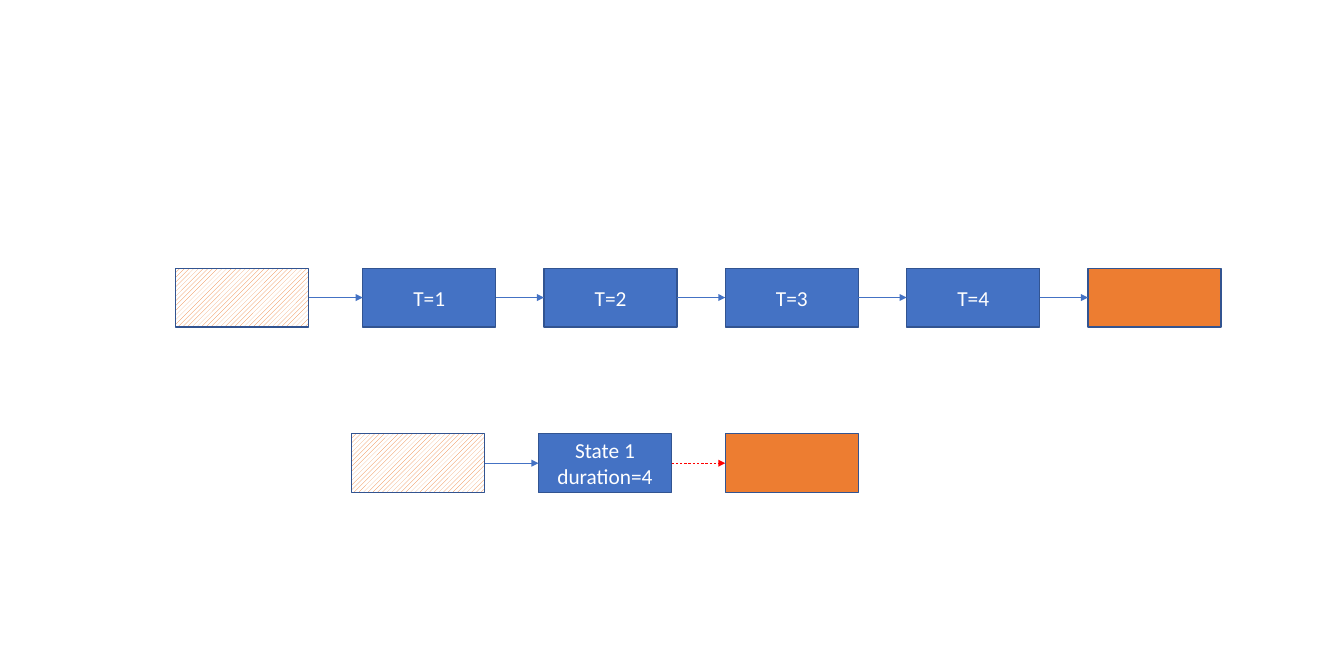
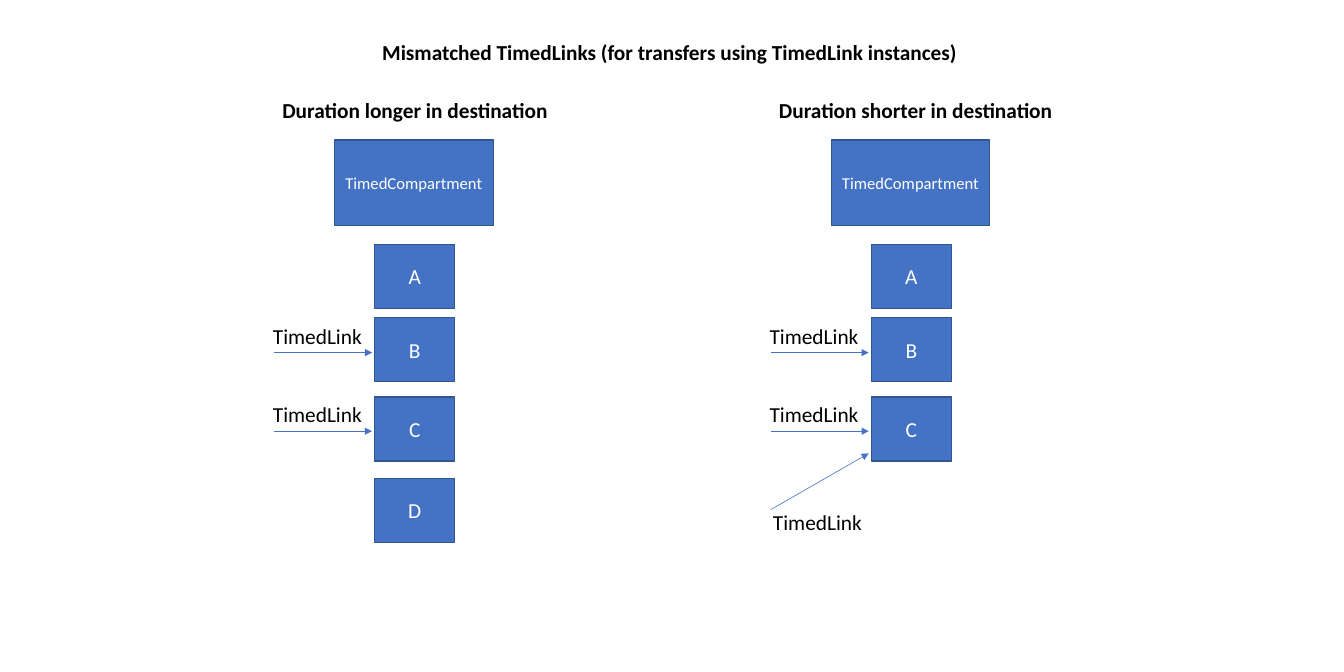
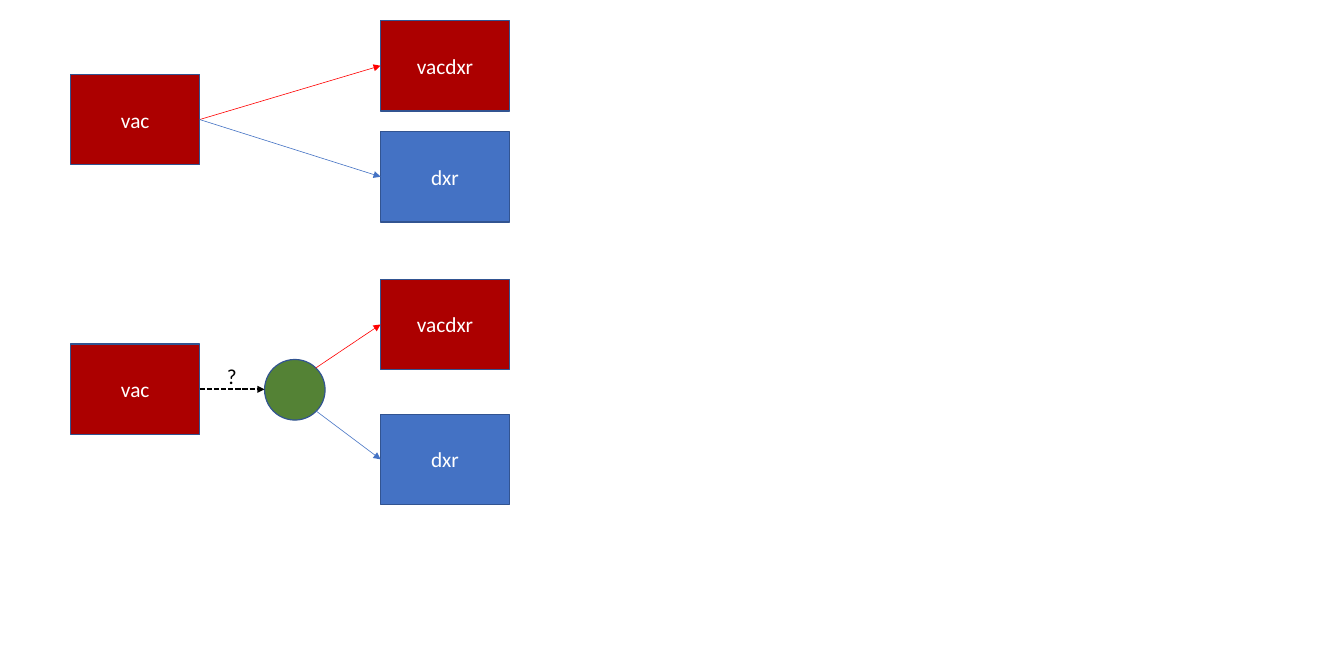
from dataclasses import dataclass

from lxml import etree
from pptx import Presentation
from pptx import util as u
from pptx.dml.color import RGBColor
from pptx.enum import dml, shapes, text
from pptx.oxml import ns

# Shared look
BLUE = RGBColor(0x44, 0x72, 0xC4)
NAVY = RGBColor(0x32, 0x54, 0x91)
ORANGE = RGBColor(0xED, 0x7D, 0x31)
CRIMSON = RGBColor(0xAC, 0x00, 0x00)
GREEN = RGBColor(0x54, 0x82, 0x35)
RED = RGBColor(0xFF, 0x00, 0x00)
BLACK = RGBColor(0x00, 0x00, 0x00)
WHITE = RGBColor(0xFF, 0xFF, 0xFF)
BODY = {"name": "Calibri", "size": u.Pt(18), "bold": False}
SMALL = BODY | {"size": u.Pt(14)}
HEADING = BODY | {"bold": True}
BOX_FRAME = {"word_wrap": True, "vertical_anchor": text.MSO_ANCHOR.MIDDLE}
LABEL_FRAME = {"word_wrap": False, "auto_size": text.MSO_AUTO_SIZE.SHAPE_TO_FIT_TEXT}
RECT = shapes.MSO_SHAPE.RECTANGLE
OVAL = shapes.MSO_SHAPE.OVAL
LEFT, RIGHT = 1, 3  # connection sites of a rectangle


@dataclass
class Box:
    left: float
    top: float
    width: float
    height: float
    words: str = ""
    fill: RGBColor = BLUE
    font: dict = None
    kind: int = RECT
    hatched: bool = False


@dataclass
class Label:
    left: float
    top: float
    width: float
    words: str
    font: dict = None
    height: float = 0.44


@dataclass
class Stroke:
    color: RGBColor = BLUE
    width: float = 0.5
    dash: int = None


@dataclass
class Panel:
    left: float
    heading: str
    heading_width: float
    states: str


def set_all(obj, values: dict) -> None:
    for name, value in values.items():
        setattr(obj, name, value)


def write(tf, words: str, font: dict, color: RGBColor, align) -> None:
    p = tf.paragraphs[0]
    p.text = words
    p.alignment = align
    for r in p.runs:
        set_all(r.font, font)
        r.font.color.rgb = color


def draw_box(s, box: Box):
    sp = s.shapes.add_shape(box.kind, *map(u.Inches, (box.left, box.top, box.width, box.height)))
    sp.shadow.inherit = False
    if box.hatched:
        sp.fill.patterned()
        sp.fill.pattern = dml.MSO_PATTERN.WIDE_UPWARD_DIAGONAL
        sp.fill.fore_color.rgb = box.fill
        sp.fill.back_color.rgb = WHITE
    else:
        sp.fill.solid()
        sp.fill.fore_color.rgb = box.fill
    sp.line.color.rgb = NAVY
    sp.line.width = u.Pt(1)
    if box.words:
        set_all(sp.text_frame, BOX_FRAME)
        write(sp.text_frame, box.words, box.font or BODY, WHITE, text.PP_ALIGN.CENTER)
    return sp


def draw_label(s, label: Label) -> None:
    sp = s.shapes.add_textbox(*map(u.Inches, (label.left, label.top, label.width, label.height)))
    set_all(sp.text_frame, LABEL_FRAME)
    write(sp.text_frame, label.words, label.font or BODY, BLACK, text.PP_ALIGN.LEFT)


def arrow(s, x1: float, y1: float, x2: float, y2: float, stroke: Stroke = Stroke()):
    line = s.shapes.add_connector(
        shapes.MSO_CONNECTOR.STRAIGHT, *map(u.Inches, (x1, y1, x2, y2)))
    line.line.color.rgb = stroke.color
    line.line.width = u.Pt(stroke.width)
    if stroke.dash:
        line.line.dash_style = stroke.dash
    ln = line.line._get_or_add_ln()
    etree.SubElement(ln, ns.qn("a:tailEnd"), type="triangle")
    etree.SubElement(line._element.spPr, ns.qn("a:effectLst"))
    return line


def link(s, start, end, stroke: Stroke = Stroke()) -> None:
    line = arrow(s, 0, 0, 1, 1, stroke)
    line.begin_connect(start, RIGHT)
    line.end_connect(end, LEFT)


def draw_chain(s, boxes: list, last: Stroke = Stroke()) -> None:
    sps = [draw_box(s, box) for box in boxes]
    for i, (start, end) in enumerate(zip(sps, sps[1:]), 2):
        link(s, start, end, last if i == len(sps) else Stroke())


prs = Presentation()
prs.slide_width, prs.slide_height = u.Inches(15.75), u.Inches(7.87)
blank = prs.slide_layouts[6]

# Slide 1: four time steps, then one state with a duration
s = prs.slides.add_slide(blank)
STEP_SIZE = (1.56, 0.69)
STEP_LEFT, EXIT_LEFT, STEPS = 4.25, 12.75, 4
pitch = (EXIT_LEFT - STEP_LEFT) / STEPS
draw_chain(s, [
    Box(2.06, 3.14, *STEP_SIZE, fill=ORANGE, hatched=True),
    *(Box(STEP_LEFT + i * pitch, 3.14, *STEP_SIZE, f"T={i + 1}") for i in range(STEPS)),
    Box(EXIT_LEFT, 3.14, *STEP_SIZE, fill=ORANGE),
])
draw_chain(s, [
    Box(4.12, 5.08, *STEP_SIZE, fill=ORANGE, hatched=True),
    Box(6.31, 5.08, *STEP_SIZE, "State 1\vduration=4"),
    Box(8.5, 5.08, *STEP_SIZE, fill=ORANGE),
], last=Stroke(RED, dash=dml.MSO_LINE.DASH))

# Slide 2: two compartments with mismatched links
s = prs.slides.add_slide(blank)
STATE_TOPS = (2.86, 3.72, 4.65, 5.6)
LINKS = ((3.74, 4.13), (4.65, 5.05))  # label top, arrow height
ARROW_LENGTH = 1.15
draw_label(s, Label(
    4.38, 0.41, 7.93, "Mismatched TimedLinks (for transfers using TimedLink instances)", HEADING))
panels = (
    Panel(3.21, "Duration longer in destination", 3.78, "ABCD"),
    Panel(9.03, "Duration shorter in destination", 3.89, "ABC"),
)
for panel in panels:
    x = panel.left
    draw_label(s, Label(x, 1.09, panel.heading_width, panel.heading, HEADING))
    draw_box(s, Box(x + 0.71, 1.64, 1.86, 1, "TimedCompartment", font=SMALL))
    for state, top in zip(panel.states, STATE_TOPS):
        draw_box(s, Box(x + 1.18, top, 0.94, 0.75, state))
    for label_top, y in LINKS:
        draw_label(s, Label(x - 0.11, label_top, 1.39, "TimedLink"))
        arrow(s, x, y, x + ARROW_LENGTH, y)

# Extra link into the last state of the shorter compartment
x = panels[1].left
arrow(s, x, 5.97, x + ARROW_LENGTH, 5.31)
draw_label(s, Label(8.96, 5.91, 1.39, "TimedLink"))

# Slide 3: direct split, then split through a junction
s = prs.slides.add_slide(blank)
NODE_SIZE = (1.51, 1.06)
SOURCE_LEFT, TARGET_LEFT = 0.83, 4.46


def draw_nodes(s, vac_top: float, vacdxr_top: float, dxr_top: float) -> list:
    return [draw_box(s, box) for box in (
        Box(SOURCE_LEFT, vac_top, *NODE_SIZE, "vac", CRIMSON),
        Box(TARGET_LEFT, vacdxr_top, *NODE_SIZE, "vacdxr", CRIMSON),
        Box(TARGET_LEFT, dxr_top, *NODE_SIZE, "dxr"),
    )]


vac, vacdxr, dxr = draw_nodes(s, 0.87, 0.24, 1.54)
link(s, vac, vacdxr, Stroke(RED))
link(s, vac, dxr)

draw_nodes(s, 4.03, 3.27, 4.85)
draw_box(s, Box(3.1, 4.21, 0.71, 0.71, fill=GREEN, kind=OVAL))
arrow(s, 2.34, 4.56, 3.1, 4.56, Stroke(BLACK, 1.5, dml.MSO_LINE.SQUARE_DOT))
arrow(s, 3.7, 4.31, TARGET_LEFT, 3.8, Stroke(RED))
arrow(s, 3.7, 4.81, TARGET_LEFT, 5.38)
draw_label(s, Label(2.56, 4.21, 0.32, "?", height=0.4))

prs.save("out.pptx")
